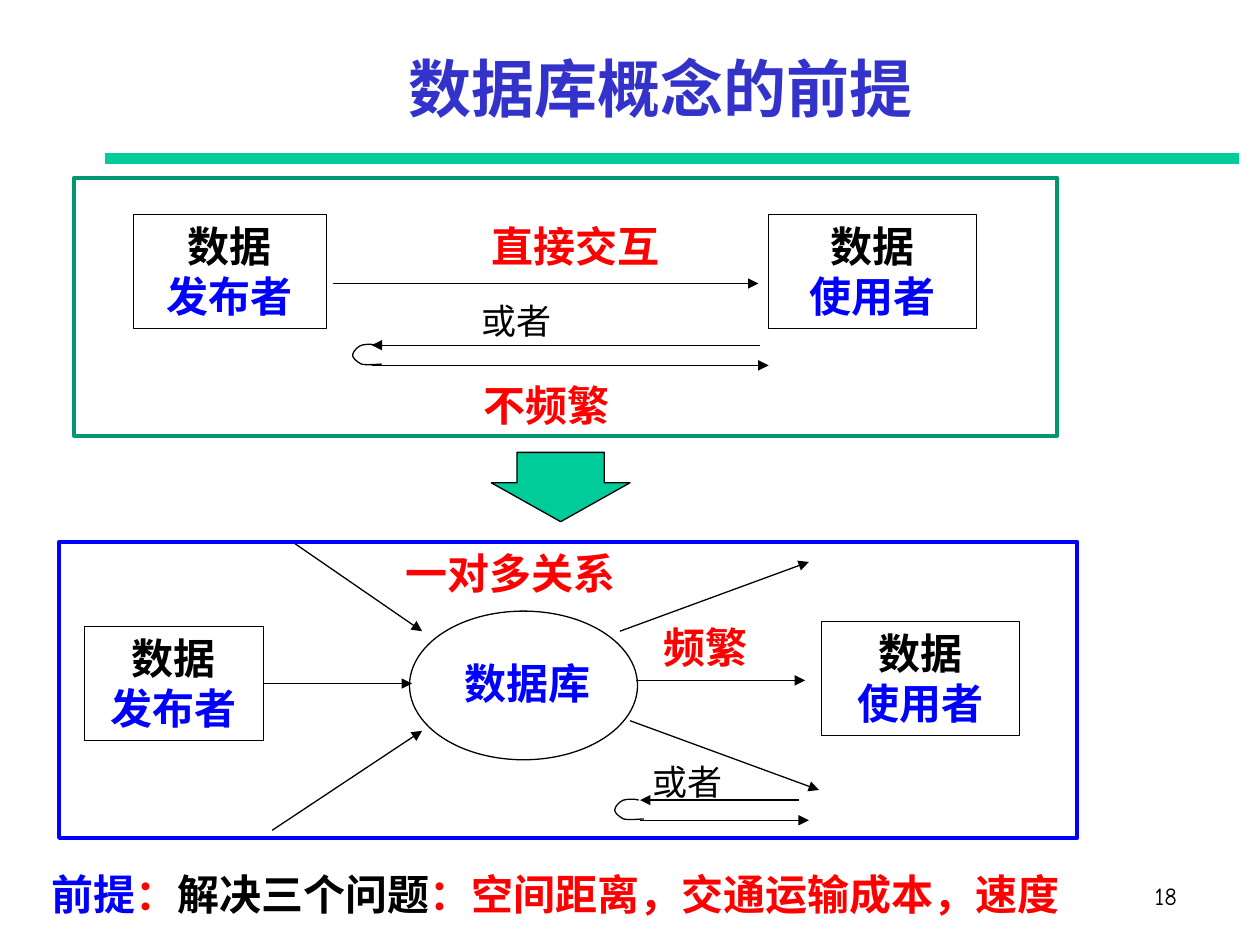
import pptx
import pptx.util
import pptx.dml.color
import pptx.enum.shapes
import pptx.enum.text
import pptx.oxml
import pptx.oxml.ns

Inches = pptx.util.Inches
Pt = pptx.util.Pt
MSO_SHAPE = pptx.enum.shapes.MSO_SHAPE
ALIGN = pptx.enum.text.PP_ALIGN
CJK = "Noto Sans CJK SC"
TIMES = "Times New Roman"
COLORS = {
    "title": "3333CC", "black": "000000", "blue": "0000FF", "red": "FF0000",
    "green": "00CC99", "frame": "009771",
}


def rgb(name):
    return pptx.dml.color.RGBColor.from_string(COLORS[name])


def add_xml(parent, tag, **attrs):
    child = pptx.oxml.parse_xml(f"<a:{tag} {pptx.oxml.ns.nsdecls('a')}/>")
    for key, value in attrs.items():
        child.set(key, value)
    parent.append(child)


def format_run(r, color, size=24, font=CJK, bold=True):
    r.font.name = font
    r.font.size = Pt(size)
    r.font.bold = bold
    r.font.color.rgb = rgb(color)
    add_xml(r.font._element, "ea", typeface=CJK)


def add_text(s, text, x, y, w, h, color="red", align=ALIGN.LEFT, wrap=True, **font):
    sp = s.shapes.add_textbox(Inches(x), Inches(y), Inches(w), Inches(h))
    tf = sp.text_frame
    tf.word_wrap = wrap
    tf.text = text
    p = tf.paragraphs[0]
    p.alignment = align
    format_run(p.runs[0], color, **font)


def style_shape(sp, line="black", width=0.75, fill=None):
    sp.shadow.inherit = False
    if fill:
        sp.fill.solid()
        sp.fill.fore_color.rgb = rgb(fill)
    else:
        sp.fill.background()
    sp.line.color.rgb = rgb(line)
    sp.line.width = Pt(width)


def add_shape(s, kind, x, y, w, h, **style):
    sp = s.shapes.add_shape(kind, Inches(x), Inches(y), Inches(w), Inches(h))
    style_shape(sp, **style)
    return sp


def add_role_box(s, role, x, y, w):
    sp = add_shape(s, MSO_SHAPE.RECTANGLE, x, y, w, 0.91)
    tf = sp.text_frame
    tf.vertical_anchor = pptx.enum.text.MSO_ANCHOR.TOP
    tf.text = "数据\n" + role
    for p, color, font in zip(tf.paragraphs, ("black", "blue"), (TIMES, CJK)):
        p.alignment = ALIGN.CENTER
        format_run(p.runs[0], color, font=font)
    return sp


def add_line(s, x1, y1, x2, y2, color="black", width=0.75, arrow=True):
    c = s.shapes.add_connector(pptx.enum.shapes.MSO_CONNECTOR.STRAIGHT,
                               Inches(x1), Inches(y1), Inches(x2), Inches(y2))
    c.line.color.rgb = rgb(color)
    c.line.width = Pt(width)
    if arrow:
        add_xml(c.line._get_or_add_ln(), "tailEnd", type="triangle")
    add_xml(c._element.spPr, "effectLst")
    return c


def bezier(points, steps=10):
    for i in range(1, steps + 1):
        t = i / steps
        weights = ((1 - t) ** 3, 3 * t * (1 - t) ** 2, 3 * t * t * (1 - t), t ** 3)
        yield tuple(round(sum(k * pt[axis] for k, pt in zip(weights, points)))
                    for axis in (0, 1))


def add_loop(s, x, y, start, back, end):
    """Request line to the left, a round turn at x, and the reply to the right."""
    add_line(s, start, y, back, y)
    add_line(s, back, y + 0.16, end, y + 0.16)
    turn = [(0.19, 0), (0.15, -0.01), (0.11, -0.01), (0.07, 0), (0.04, 0.01),
            (0, 0.05), (0, 0.08), (0, 0.1), (0.03, 0.13), (0.07, 0.15),
            (0.11, 0.16), (0.2, 0.15), (0.23, 0.15)]
    turn = [(Inches(x + dx), Inches(y + dy)) for dx, dy in turn]
    curve = [pt for i in range(0, 12, 3) for pt in bezier(turn[i:i + 4])]
    fb = s.shapes.build_freeform(*turn[0])
    fb.add_line_segments(curve, close=False)
    style_shape(fb.convert_to_shape())


def add_title(s):
    sp = s.shapes.title
    sp.left, sp.top, sp.width, sp.height = (Inches(v) for v in (0.67, 0.13, 9.14, 1.12))
    tf = sp.text_frame
    tf.text = "数据库概念的前提"
    tf.vertical_anchor = pptx.enum.text.MSO_ANCHOR.MIDDLE
    tf.paragraphs[0].alignment = ALIGN.CENTER
    format_run(tf.paragraphs[0].runs[0], "title", size=36)
    add_line(s, 0.83, 1.26, 9.83, 1.26, "green", 6, arrow=False)


def add_direct_panel(s):
    add_role_box(s, "发布者", 1.06, 1.7, 1.53)
    add_role_box(s, "使用者", 6.1, 1.7, 1.65)
    add_line(s, 2.64, 2.25, 6.02, 2.25)
    add_loop(s, 2.8, 2.74, 6.03, 2.95, 6.1)
    add_text(s, "直接交互", 3.8, 1.7, 1.54, 0.5, wrap=False)
    add_text(s, "或者", 3.72, 2.33, 0.76, 0.43, "black", wrap=False,
             size=20, font=TIMES, bold=False)
    add_text(s, "不频繁", 3.74, 2.96, 1.73, 0.5)
    add_shape(s, MSO_SHAPE.RECTANGLE, 0.59, 1.41, 7.8, 2.05, line="frame", width=2.25)


def add_database_panel(s):
    publisher = add_role_box(s, "发布者", 0.67, 4.97, 1.42)
    add_role_box(s, "使用者", 6.52, 4.93, 1.57)
    add_shape(s, MSO_SHAPE.OVAL, 3.25, 4.85, 1.81, 1.18)
    add_text(s, "数据库", 3.39, 5.17, 1.59, 0.5, "blue", ALIGN.CENTER)

    # Arrows into and out of the database
    middle = (publisher.top + publisher.height / 2) / Inches(1)
    add_line(s, 2.09, middle, 3.27, middle).begin_connect(publisher, 3)
    for ends in ((2.16, 6.59, 3.35, 5.8), (2.32, 4.3, 3.35, 5.01),
                 (4.92, 5.01, 6.42, 4.46), (5.05, 5.4, 6.39, 5.4),
                 (5, 5.72, 6.5, 6.27)):
        add_line(s, *ends)
    add_loop(s, 4.88, 6.35, 6.34, 5.08, 6.42)

    add_text(s, "一对多关系", 1.38, 4.3, 5.35, 0.5, align=ALIGN.CENTER)
    add_text(s, "频繁", 5.17, 4.88, 1.09, 0.5)
    add_text(s, "或者", 5.08, 5.99, 0.76, 0.43, "black", wrap=False,
             size=20, font=TIMES, bold=False)
    add_shape(s, MSO_SHAPE.RECTANGLE, 0.47, 4.3, 8.08, 2.35, line="blue", width=2.5)


def add_premise(s):
    sp = s.shapes.add_textbox(Inches(0.31), Inches(6.84), Inches(8.27), Inches(0.5))
    sp.text_frame.word_wrap = True
    p = sp.text_frame.paragraphs[0]
    for text, color, font in (("前提", "blue", CJK), ("：", "red", TIMES),
                              ("解决三个问题", "black", TIMES), ("：", "red", TIMES),
                              ("空间距离，交通运输成本，速度", "red", CJK)):
        r = p.add_run()
        r.text = text
        format_run(r, color, font=font)


def main():
    prs = pptx.Presentation()
    prs.slide_width, prs.slide_height = Inches(10), Inches(7.5)
    s = prs.slides.add_slide(prs.slide_layouts[5])

    add_title(s)
    add_direct_panel(s)

    # Step from direct exchange to the database
    arrow = add_shape(s, MSO_SHAPE.DOWN_ARROW, 3.9, 3.59, 1.1, 0.55, fill="green")
    arrow.adjustments[0] = 0.63
    arrow.adjustments[1] = 0.56

    add_database_panel(s)
    add_premise(s)
    add_text(s, "18", 7.36, 6.94, 2.08, 0.5, "black", ALIGN.RIGHT,
             size=14, font="Comic Neue", bold=False)
    prs.save("out.pptx")


if __name__ == "__main__":
    main()
